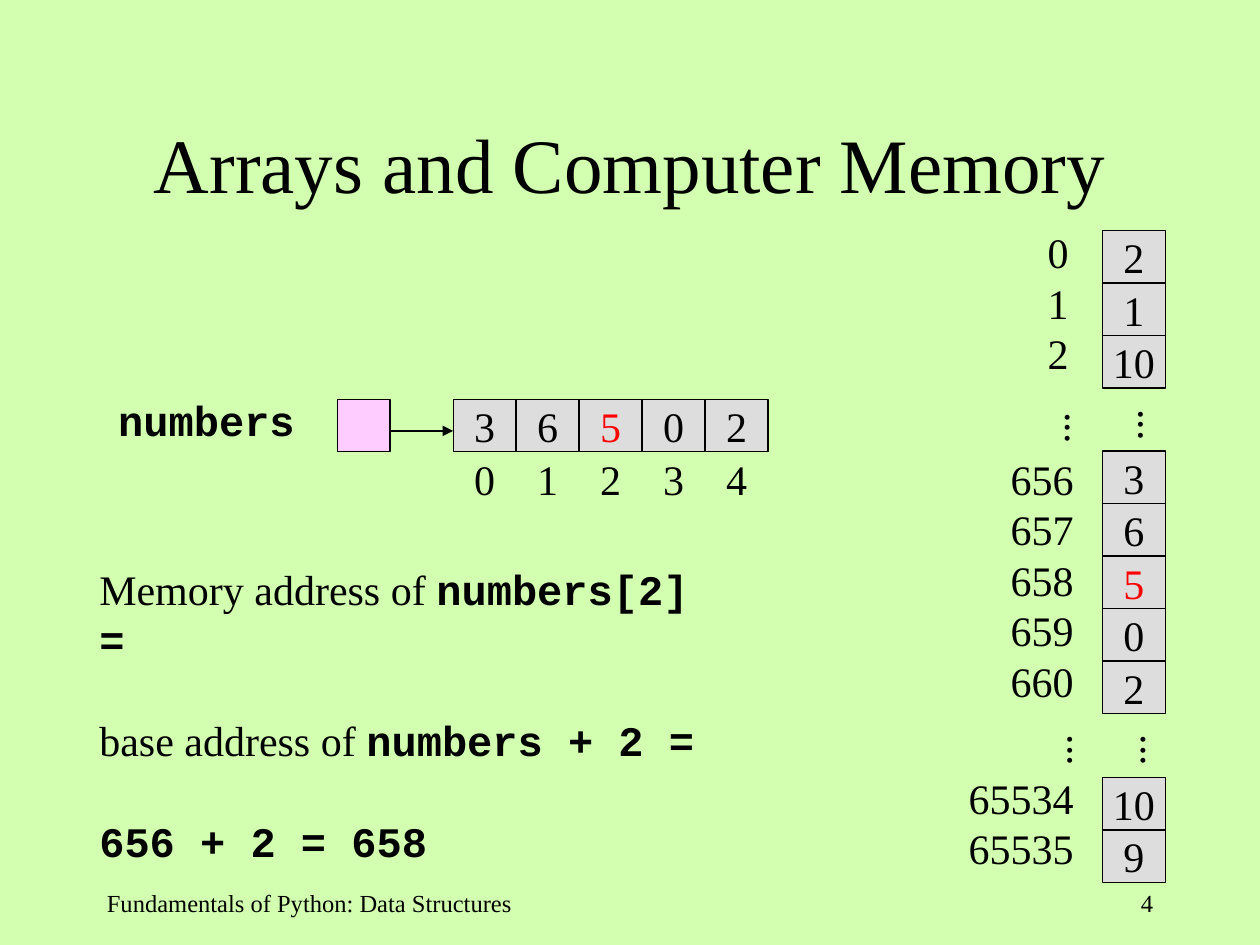
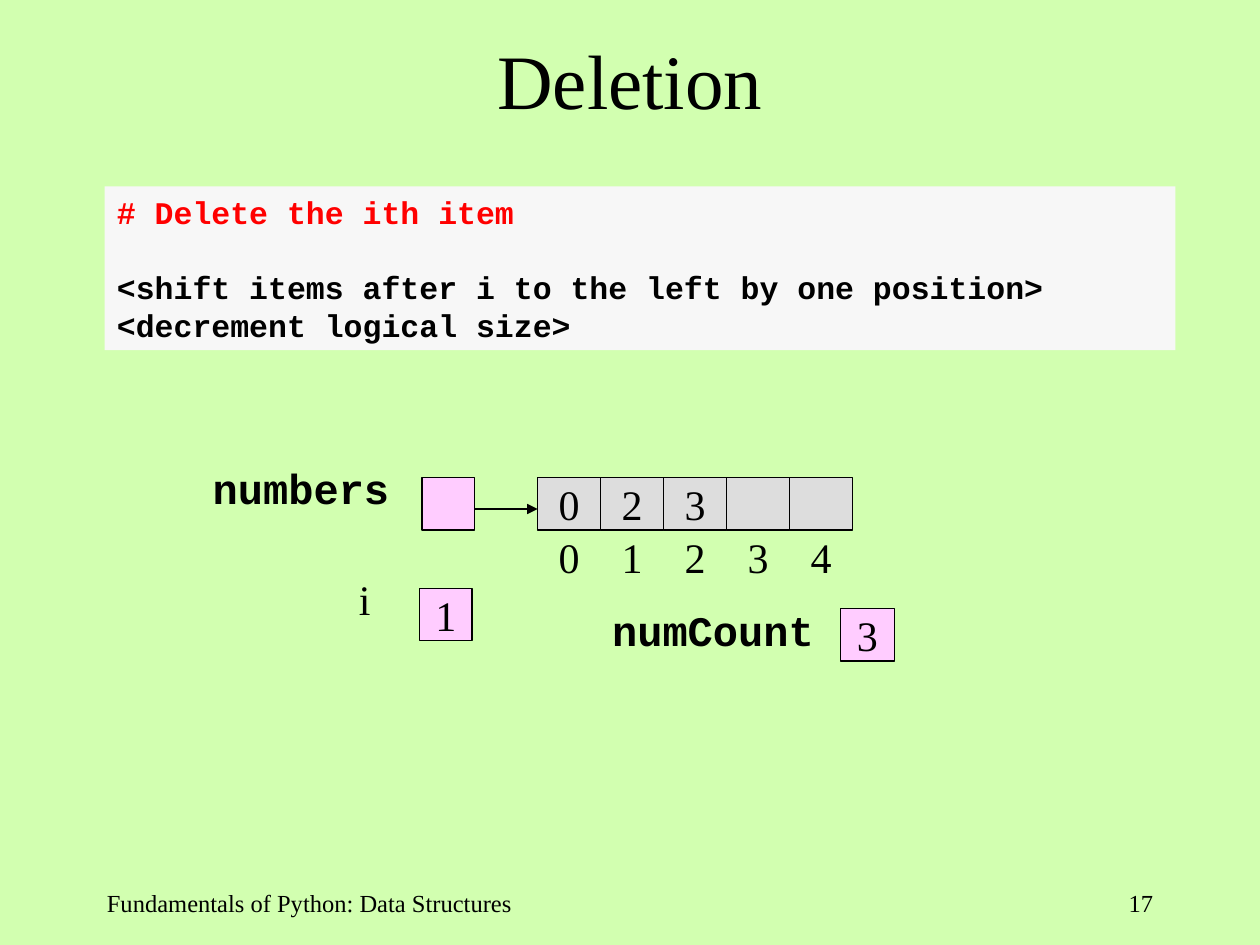
from pptx import Presentation
from pptx.dml.color import RGBColor
from pptx.enum.shapes import MSO_CONNECTOR, MSO_SHAPE
from pptx.enum.text import MSO_ANCHOR, MSO_AUTO_SIZE, PP_ALIGN
from pptx.oxml.ns import qn
from pptx.util import Inches, Pt
from lxml import etree

LEFT, MID, RIGHT = PP_ALIGN.LEFT, PP_ALIGN.CENTER, PP_ALIGN.RIGHT
TOP, CENTER = MSO_ANCHOR.TOP, MSO_ANCHOR.MIDDLE
GROW = MSO_AUTO_SIZE.SHAPE_TO_FIT_TEXT
RECT, LINE = MSO_SHAPE.RECTANGLE, MSO_CONNECTOR.STRAIGHT

LIME = RGBColor(0xD2, 0xFF, 0xB0)
GREY = RGBColor(0xDD, 0xDD, 0xDD)
PINK = RGBColor(0xFF, 0xCC, 0xFF)
PALE = RGBColor(0xF7, 0xF7, 0xF7)
RED = RGBColor(0xFF, 0, 0)
BLACK = RGBColor(0, 0, 0)
SERIF, MONO = "Times New Roman", "Courier New"

CELL_W, CELL_H = 0.5, 5 / 12
FOOT = "Fundamentals of Python: Data Structures"

ARRAY = ["3", "6", "5", "0", "2"]
MEMORY_X = 8.75
MEMORY = [
    (1.83, ["2", "1", "10"]),
    (3.58, ARRAY),
    (6.17, ["10", "9"]),
]
PLACES = [
    (8.58, 1.75, ["0", "1", "2"]),
    (8.62, 3.55, ["656", "657", "658", "659", "660"]),
    (8.62, 6.08, ["65534", "65535"]),
]
DOTS = [(8.82, 3.15), (8.84, 5.73), (8.24, 3.17), (8.26, 5.73)]
SUMS = [
    [("Memory address of ", SERIF), ("numbers[2] =", MONO)],
    [("base address of ", SERIF), ("numbers + 2 =", MONO)],
    [("656 + 2 = 658", MONO)],
]

SHIFTED = ["0", "2", "3", "", ""]
CODE = [
    ("# Delete the ith item", RED, 0),
    ("<shift items after i to the left by one position>", BLACK, 21.6),
    ("<decrement logical size>", BLACK, 0),
]


def write(frame, lines, font=SERIF, size=24, color=BLACK, align=LEFT,
          anchor=TOP, wrap=False, gap=0, pitch=None):
    frame.word_wrap = wrap
    frame.vertical_anchor = anchor
    for num, line in enumerate([lines] if isinstance(lines, str) else lines):
        para = frame.paragraphs[0] if num == 0 else frame.add_paragraph()
        para.alignment = align
        para.space_before = Pt(gap if num else 0)
        if pitch:
            para.line_spacing = Pt(pitch)
        for text, face in [(line, font)] if isinstance(line, str) else line:
            run = para.add_run()
            run.text = text
            run.font.name = face
            run.font.size = Pt(size)
            run.font.bold = face == MONO
            run.font.color.rgb = color


def label(slide, x, y, w, h, lines, **form):
    box = slide.shapes.add_textbox(Inches(x), Inches(y), Inches(w), Inches(h))
    write(box.text_frame, lines, **form)
    return box


def block(slide, x, y, w, h, fill, edge=True):
    box = slide.shapes.add_shape(RECT, Inches(x), Inches(y), Inches(w), Inches(h))
    box.shadow.inherit = False
    box.fill.solid()
    box.fill.fore_color.rgb = fill
    if edge:
        box.line.color.rgb = BLACK
        box.line.width = Pt(0.75)
    else:
        box.line.fill.background()
    return box


def cell(slide, x, y, text="", fill=GREY, w=CELL_W):
    box = block(slide, x, y, w, CELL_H, fill)
    if text:
        write(box.text_frame, text, align=MID, anchor=CENTER,
              color=RED if text == "5" else BLACK)


def arrow(slide, x, y, end):
    line = slide.shapes.add_connector(LINE, Inches(x), Inches(y), Inches(end), Inches(y))
    line.line.color.rgb = BLACK
    line.line.width = Pt(0.75)
    etree.SubElement(line.line._get_or_add_ln(), qn("a:tailEnd"),
                     type="triangle", w="med", len="med")
    etree.SubElement(line._element.spPr, qn("a:effectLst"))


def array(slide, x, y, items):
    cell(slide, x, y, fill=PINK, w=CELL_H)
    start = x + CELL_H + 0.5
    for num, item in enumerate(items):
        left = start + num * CELL_W
        cell(slide, left, y, item)
        label(slide, left, y + 0.38, CELL_W, 0.5, str(num), align=MID)
    arrow(slide, x + CELL_H, y + 0.25, start)


def page(deck, title, top, number):
    slide = deck.slides.add_slide(deck.slide_layouts[5])
    slide.background.fill.solid()
    slide.background.fill.fore_color.rgb = LIME
    head = slide.shapes.title
    head.left, head.top = Inches(0.75), Inches(top)
    head.width, head.height = Inches(8.5), Inches(1.25)
    write(head.text_frame, title, size=44, align=MID, anchor=CENTER, wrap=True)
    label(slide, 0.75, 7, 3.83, 0.5, FOOT, size=14, wrap=True)
    label(slide, 7.17, 7, 2.08, 0.5, number, size=14, align=RIGHT, wrap=True)
    return slide


def memory(deck):
    slide = page(deck, "Arrays and Computer Memory", 0.67, "4")
    array(slide, 2.68, 3.17, ARRAY)
    label(slide, 0.84, 3.08, 1.6, 0.5, "numbers", font=MONO)
    for top, items in MEMORY:
        for num, item in enumerate(items):
            cell(slide, MEMORY_X, top + num * CELL_H, item)
    for right, top, lines in PLACES:
        label(slide, right - 1.03, top, 1.03, 0.1 + 0.4 * len(lines), lines,
              align=RIGHT, wrap=True, pitch=28.8)
    for x, y in DOTS:
        frame = label(slide, x, y, 0.6, 0.35, "...").text_frame
        frame.auto_size = GROW
        frame.margin_left = frame.margin_right = Inches(0.05)
        frame.margin_top = frame.margin_bottom = Inches(0.1)
        frame._txBody.bodyPr.set("vert", "eaVert")
    label(slide, 0.69, 4.42, 5.27, 2.1, SUMS, gap=28.8, pitch=28.8)


def deletion(deck):
    slide = page(deck, "Deletion", 0, "17")
    array(slide, 3.35, 3.79, SHIFTED)
    label(slide, 1.59, 3.62, 1.6, 0.5, "numbers", font=MONO)
    label(slide, 2.75, 4.5, 0.29, 0.5, "i")
    cell(slide, 3.33, 4.67, "1", fill=PINK, w=CELL_H)
    label(slide, 4.76, 4.75, 1.8, 0.5, "numCount", font=MONO)
    cell(slide, 6.67, 4.83, "3", fill=PINK, w=0.43)
    frame = block(slide, 0.83, 1.48, 8.5, 1.3, PALE, edge=False).text_frame
    write(frame, [text for text, _, _ in CODE], font=MONO, size=18, wrap=True, pitch=21.6)
    for para, (_, color, gap) in zip(frame.paragraphs, CODE):
        para.space_before = Pt(gap)
        para.runs[0].font.color.rgb = color


def main():
    deck = Presentation()
    deck.slide_width, deck.slide_height = Inches(10), Inches(7.5)
    memory(deck)
    deletion(deck)
    deck.save("out.pptx")


if __name__ == "__main__":
    main()
